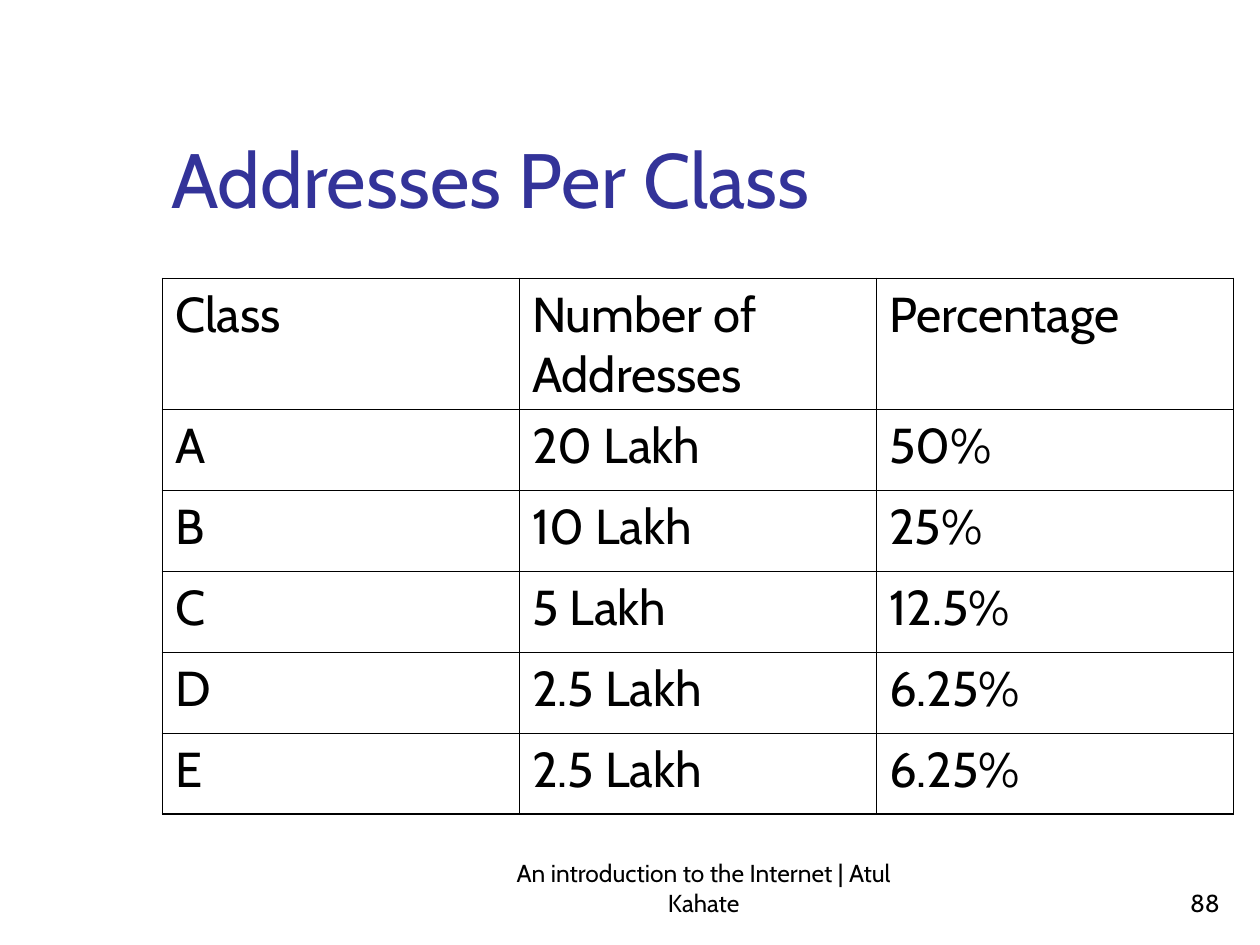
from dataclasses import dataclass

from lxml import etree
from pptx import Presentation
from pptx.dml.color import RGBColor
from pptx.enum.text import MSO_ANCHOR, PP_ALIGN
from pptx.oxml.ns import qn
from pptx.util import Inches, Pt

LEFT, CENTER, RIGHT = PP_ALIGN.LEFT, PP_ALIGN.CENTER, PP_ALIGN.RIGHT
TOP, BOTTOM = MSO_ANCHOR.TOP, MSO_ANCHOR.BOTTOM


@dataclass(frozen=True)
class Theme:
    """Colours, type sizes and line widths of the slide."""

    font: str = "Cabin"
    ink: str = "000000"
    title_color: str = "333399"
    title_size: int = 44
    table_size: int = 28
    footer_size: int = 14
    outer_line: float = 1.08
    inner_line: float = 0.45


THEME = Theme()
ADDRESS_ROWS = [
    ("Class", "Number of Addresses", "Percentage"),
    ("A", "20 Lakh", "50%"),
    ("B", "10 Lakh", "25%"),
    ("C", "5 Lakh", "12.5%"),
    ("D", "2.5 Lakh", "6.25%"),
    ("E", "2.5 Lakh", "6.25%"),
]


def write_text(frame, text, *, size, color=THEME.ink, align=LEFT, line_spacing=1.0):
    """Put formatted text in the first paragraph of a wrapping frame."""
    frame.word_wrap = True
    paragraph = frame.paragraphs[0]
    paragraph.alignment = align
    paragraph.line_spacing = line_spacing
    run = paragraph.add_run()
    run.text = text
    run.font.name = THEME.font
    run.font.size = Pt(size)
    run.font.color.rgb = RGBColor.from_string(color)


def add_label(slide, box, text, **text_format):
    """Add a text box whose text rests on the bottom of its box."""
    frame = slide.shapes.add_textbox(*map(Inches, box)).text_frame
    frame.vertical_anchor = BOTTOM
    write_text(frame, text, **text_format)


def set_borders(cell, widths):
    """Draw the left, right, top and bottom borders of a cell."""
    properties = cell._tc.get_or_add_tcPr()
    for position, (side, width) in enumerate(widths.items()):
        line = etree.Element(qn(f"a:{side}"), w=str(Pt(width)))
        fill = etree.SubElement(line, qn("a:solidFill"))
        etree.SubElement(fill, qn("a:srgbClr"), val=THEME.ink)
        properties.insert(position, line)


def add_title(slide, box):
    """Add the slide title."""
    add_label(slide, box, "Addresses Per Class", size=THEME.title_size, color=THEME.title_color)


def add_address_table(slide, box, header_height):
    """Add the ruled table of addresses per class."""
    row_count, column_count = len(ADDRESS_ROWS), len(ADDRESS_ROWS[0])
    width, height = box[2:]
    table = slide.shapes.add_table(row_count, column_count, *map(Inches, box)).table
    table.first_row = table.horz_banding = False
    for column in table.columns:
        column.width = Inches(width / column_count)
    for index, row in enumerate(table.rows):
        body_height = (height - header_height) / (row_count - 1)
        row.height = Inches(body_height if index else header_height)

    def line_width(is_edge):
        """Choose the heavier line for the table's outline."""
        return THEME.outer_line if is_edge else THEME.inner_line

    for row_index, values in enumerate(ADDRESS_ROWS):
        for column_index, value in enumerate(values):
            cell = table.cell(row_index, column_index)
            cell.fill.background()
            cell.vertical_anchor = TOP
            write_text(cell.text_frame, value, size=THEME.table_size, line_spacing=1.01)
            set_borders(cell, {
                "lnL": line_width(column_index == 0),
                "lnR": line_width(column_index == column_count - 1),
                "lnT": line_width(row_index == 0),
                "lnB": line_width(row_index == row_count - 1),
            })


def add_footer(slide, box):
    """Add the centred footer and the slide number at the right of the box."""
    left, top, width, height = box
    footer_width, number_width = 3.17, 2.08
    add_label(slide, (left, top, footer_width, height),
              "An introduction to the Internet | Atul Kahate",
              size=THEME.footer_size, align=CENTER)
    add_label(slide, (left + width - number_width, top, number_width, height),
              "88", size=THEME.footer_size, align=RIGHT)


def main():
    """Build and save the presentation."""
    presentation = Presentation()
    presentation.slide_width, presentation.slide_height = Inches(10), Inches(7.5)
    slide = presentation.slides.add_slide(presentation.slide_layouts[6])
    add_footer(slide, (4, 6.83, 5.78, 0.5))
    add_title(slide, (1.26, 0.23, 8.52, 1.6))
    add_address_table(slide, (1.29, 2.21, 8.5, 4.24), header_height=1.03)
    presentation.save("out.pptx")


if __name__ == "__main__":
    main()
